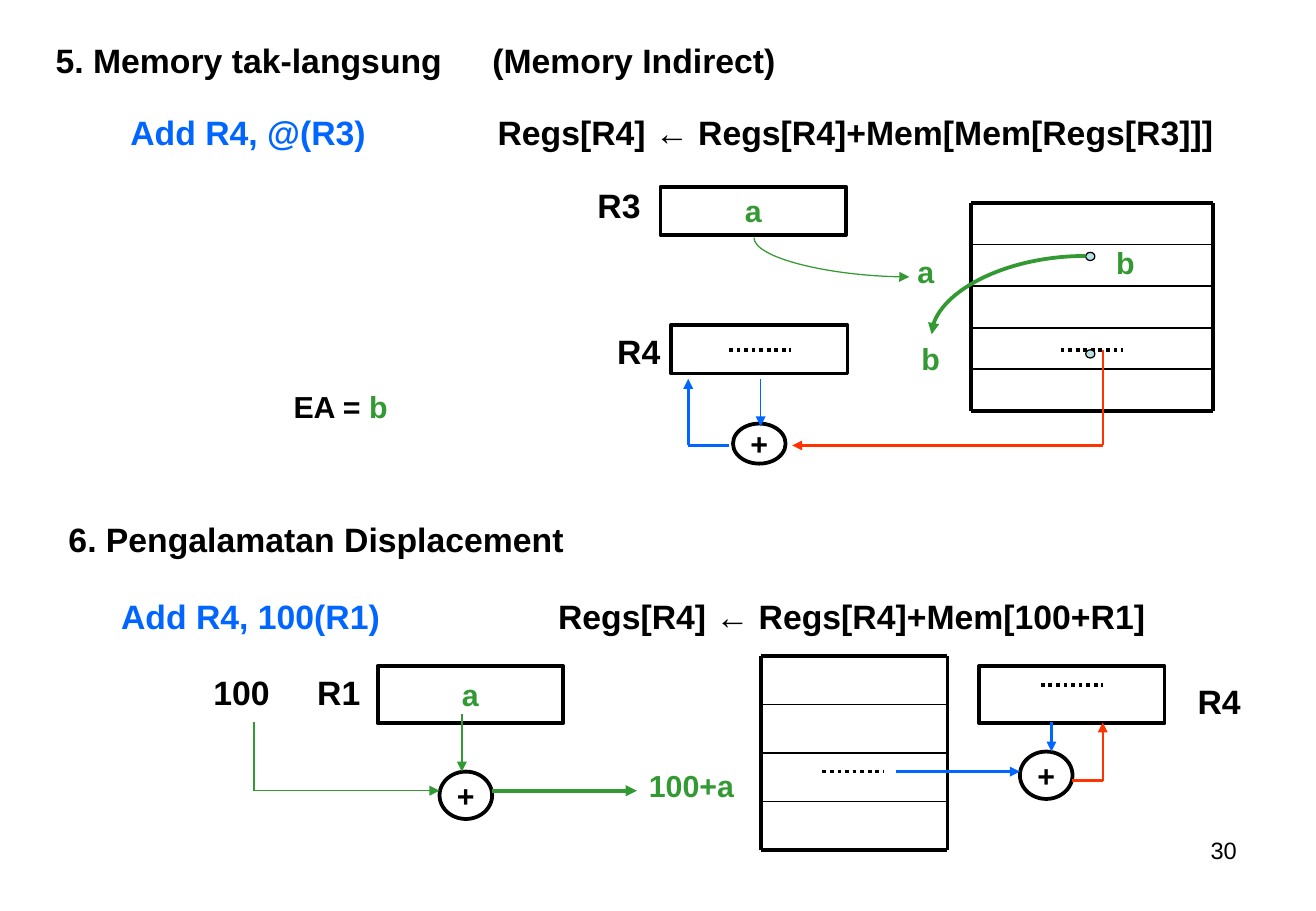
from pptx import Presentation
from pptx.dml.color import RGBColor
from pptx.enum.dml import MSO_LINE
from pptx.enum.shapes import MSO_CONNECTOR, MSO_SHAPE
from pptx.enum.text import MSO_ANCHOR, MSO_AUTO_SIZE, PP_ALIGN
from pptx.oxml.ns import qn
from pptx.util import Inches, Pt

BOX, OVAL = MSO_SHAPE.RECTANGLE, MSO_SHAPE.OVAL
LINE, CURVE = MSO_CONNECTOR.STRAIGHT, MSO_CONNECTOR.CURVE
LEFT, MID, RIGHT = PP_ALIGN.LEFT, PP_ALIGN.CENTER, PP_ALIGN.RIGHT
TOP, CENTER = MSO_ANCHOR.TOP, MSO_ANCHOR.MIDDLE
DOTS = MSO_LINE.ROUND_DOT
FIXED = MSO_AUTO_SIZE.NONE

BLACK, WHITE, PALE = "000000", "FFFFFF", "BBE0E3"
BLUE, GREEN, RED = "0066FF", "339933", "FF3300"

# The slide is a grid of 100 columns by 100 rows.
WIDE, HIGH = Inches(10.84), Inches(7.5)


def col(n):
    return round(WIDE * n / 100)


def row(n):
    return round(HIGH * n / 100)


def area(x, y, w, h):
    return col(x), row(y), col(w), row(h)


def rgb(code):
    return RGBColor.from_string(code)


def write(shape, text, size=20, color=BLACK, align=LEFT, anchor=TOP, bold=True):
    frame = shape.text_frame
    frame.word_wrap = False
    frame.auto_size = FIXED
    frame.vertical_anchor = anchor
    para = frame.paragraphs[0]
    para.text = text
    para.alignment = align
    font = para.font
    font.name, font.size, font.bold = "Arial", Pt(size), bold
    font.color.rgb = rgb(color)
    return para


def label(slide, text, x, y, w, h=5.9, **style):
    return write(slide.shapes.add_textbox(*area(x, y, w, h)), text, **style)


def node(slide, kind, x, y, w, h, text="", color=BLACK, fill=WHITE, weight=2.25):
    shape = slide.shapes.add_shape(kind, *area(x, y, w, h))
    shape.shadow.inherit = False
    shape.fill.solid()
    shape.fill.fore_color.rgb = rgb(fill)
    shape.line.color.rgb = rgb(BLACK)
    shape.line.width = Pt(weight)
    if text:
        write(shape, text, 18, color, MID, CENTER)


def link(slide, x1, y1, x2, y2, color=BLACK, weight=2.25, end=None, kind=LINE):
    """Draw a connector; end is "headEnd" or "tailEnd" for an arrow there."""
    wire = slide.shapes.add_connector(kind, col(x1), row(y1), col(x2), row(y2))
    wire.line.color.rgb = rgb(color)
    wire.line.width = Pt(weight)
    props = wire.line._get_or_add_ln()
    if end:
        props.append(props.makeelement(qn("a:" + end), {"type": "triangle"}))
    body = wire._element.spPr
    body.append(body.makeelement(qn("a:effectLst"), {}))
    if kind == CURVE:
        body.find(qn("a:prstGeom")).set("prst", "curvedConnector2")
    return wire


def arrow(slide, x1, y1, x2, y2, color, weight=1.5):
    link(slide, x1, y1, x2, y2, color, weight, "tailEnd")


def dots(slide, x, y):
    link(slide, x, y, x + 4.7, y).line.dash_style = DOTS


def stack(slide, x1, x2, top, foot, cells):
    """Draw a memory as a column of equal cells."""
    step = (foot - top) / cells
    for i in range(cells + 1):
        y = top + i * step
        link(slide, x1, y, x2, y, weight=2.25 if i in (0, cells) else 1)
    for x in (x1, x2):
        link(slide, x, top, x, foot)


def indirect(slide):
    title = slide.shapes.title
    title.left, title.top, title.width, title.height = area(3.3, 3.7, 33.2, 5.9)
    write(title, "5. Memory tak-langsung")
    label(slide, "(Memory Indirect)", 36.5, 3.7, 23.3)
    label(slide, "Add R4, @(R3)", 9, 11.6, 19.8, color=BLUE)
    label(slide, "Regs[R4] ← Regs[R4]+Mem[Mem[Regs[R3]]]", 36.9, 11.6, 56.3)

    label(slide, "R3", 44.5, 19.6, 5.1)
    node(slide, BOX, 50.2, 20.5, 14.1, 5.3, "a", GREEN)
    label(slide, "R4", 46, 35.7, 5.1)
    node(slide, BOX, 51, 35.7, 13.4, 5.3)
    dots(slide, 55.4, 38.4)
    stack(slide, 73.8, 92.2, 22.3, 45.1, 5)
    dots(slide, 80.6, 38.4)
    for y in (27.7, 38.4):
        node(slide, OVAL, 82.5, y, 0.7, 0.9, fill=PALE, weight=0.75)
    node(slide, OVAL, 55.7, 46.5, 4, 4.4, "+")

    link(slide, 69.1, 30.4, 57.3, 26.1, GREEN, 0.75, "headEnd", CURVE)
    link(slide, 82.5, 28.1, 70.8, 36.7, GREEN, 2.25, "tailEnd", CURVE)
    for text, x, y in (("a", 68.8, 27.1), ("b", 83.9, 26.1), ("b", 69.1, 36.7)):
        label(slide, text, x, y, 3.2, 5.3, size=18, color=GREEN)
    arrow(slide, 57.8, 41.6, 57.8, 46.8, BLUE, 0.75)
    link(slide, 83.8, 38.4, 83.8, 48.9, RED, 1.5)
    arrow(slide, 83.8, 48.9, 60.2, 48.9, RED)
    link(slide, 55.4, 48.9, 52.3, 48.9, BLUE)
    arrow(slide, 52.3, 48.9, 52.3, 41.6, BLUE)

    para = label(slide, "EA = ", 21.4, 41.9, 9, 5.3, size=18)
    run = para.add_run()
    run.text = "b"
    run.font.color.rgb = rgb(GREEN)


def displace(slide):
    label(slide, "6. Pengalamatan Displacement", 4.3, 56.3, 39.5)
    label(slide, "Add R4, 100(R1)", 8.3, 64.7, 21.5, color=BLUE)
    label(slide, "Regs[R4] ← Regs[R4]+Mem[100+R1]", 41.5, 64.7, 46.5)

    label(slide, "100", 15.3, 73.1, 6.1)
    label(slide, "R1", 23.2, 73.1, 5.1)
    node(slide, BOX, 28.7, 73.1, 14.1, 6.3, "a", GREEN)
    node(slide, OVAL, 33.4, 84.7, 4, 5.2, "+")
    link(slide, 19.3, 79.3, 19.3, 86.8, GREEN, 0.75)
    arrow(slide, 19.3, 86.8, 33.4, 86.8, GREEN, 0.75)
    arrow(slide, 35.1, 78.4, 35.1, 84.7, GREEN, 0.75)
    arrow(slide, 37.4, 86.8, 48.4, 86.8, GREEN, 2.25)
    label(slide, "100+a", 48.4, 83.6, 8.3, 5.3, size=18, color=GREEN)

    stack(slide, 57.8, 72, 72, 93.3, 4)
    dots(slide, 62.5, 84.7)
    node(slide, BOX, 74.4, 73.1, 14.1, 6.3)
    dots(slide, 79.1, 75.2)
    label(slide, "R4", 90.1, 74.1, 5.1)
    node(slide, OVAL, 77.5, 82.5, 4, 5.2, "+")
    arrow(slide, 68.1, 84.7, 77.5, 84.7, BLUE)
    arrow(slide, 79.9, 79.3, 79.9, 82.5, BLUE)
    link(slide, 81.5, 85.7, 83.8, 85.7, RED, 1.5)
    arrow(slide, 83.8, 85.7, 83.8, 79.3, RED)


def main():
    deck = Presentation()
    deck.slide_width, deck.slide_height = WIDE, HIGH
    slide = deck.slides.add_slide(deck.slide_layouts[5])
    indirect(slide)
    displace(slide)
    label(slide, "30", 71.6, 91.1, 23.3, 6.9, size=14, align=RIGHT, bold=False)
    deck.save("out.pptx")


if __name__ == "__main__":
    main()
